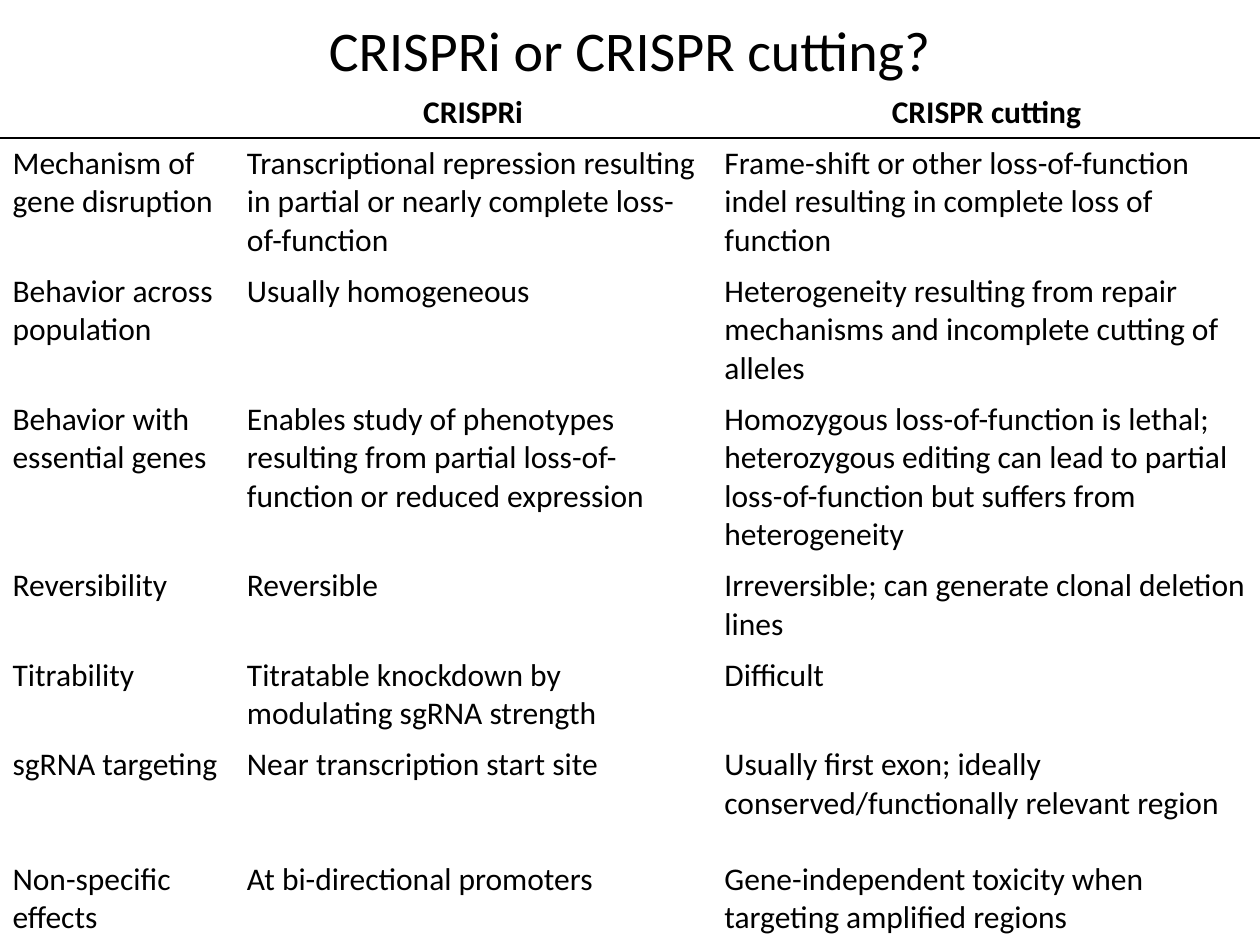
from lxml import etree
from pptx import Presentation
from pptx.dml.color import RGBColor
from pptx.enum.text import MSO_ANCHOR, PP_ALIGN
from pptx.oxml.ns import qn
from pptx.util import Inches, Pt

LEFT, CENTER = PP_ALIGN.LEFT, PP_ALIGN.CENTER
MIDDLE = MSO_ANCHOR.MIDDLE
COLORS = {"text": "000000", "rule": "000000", "border": "FFFFFF"}
TITLE_FORMAT = {"name": "Calibri", "size": Pt(32), "bold": False}
HEADER_FORMAT = {"name": "Calibri", "size": Pt(18), "bold": True}
BODY_FORMAT = {"name": "Calibri", "size": Pt(18), "bold": False}

COLUMN_WIDTHS = [1.86, 3.79, 4.36]
ROW_HEIGHTS = [0.37, 0.91, 0.91, 1.19, 0.64, 0.64, 0.91, 0.96]
ROWS = [
    ("", "CRISPRi", "CRISPR cutting"),
    ("Mechanism of gene disruption",
     "Transcriptional repression resulting in partial or nearly complete loss-of-function",
     "Frame-shift or other loss-of-function indel resulting in complete loss of function"),
    ("Behavior across population",
     "Usually homogeneous",
     "Heterogeneity resulting from repair mechanisms and incomplete cutting of alleles"),
    ("Behavior with essential genes",
     "Enables study of phenotypes resulting from partial loss-of-function or reduced expression",
     "Homozygous loss-of-function is lethal; heterozygous editing can lead to partial "
     "loss-of-function but suffers from heterogeneity"),
    ("Reversibility", "Reversible", "Irreversible; can generate clonal deletion lines"),
    ("Titrability", "Titratable knockdown by modulating sgRNA strength", "Difficult"),
    ("sgRNA targeting",
     "Near transcription start site",
     "Usually first exon; ideally conserved/functionally relevant region"),
    ("Non-specific effects",
     "At bi-directional promoters",
     "Gene-independent toxicity when targeting amplified regions"),
]


def write_text(frame, text, alignment, font_format):
    frame.text = text
    para = frame.paragraphs[0]
    para.alignment = alignment
    for attribute, value in font_format.items():
        setattr(para.font, attribute, value)
    for span in para.runs:
        for attribute, value in font_format.items():
            setattr(span.font, attribute, value)
        span.font.color.rgb = RGBColor.from_string(COLORS["text"])


def add_border(cell, side, color):
    properties = cell._tc.get_or_add_tcPr()
    line = etree.SubElement(properties, qn(f"a:ln{side}"), w=str(Pt(1)))
    fill = etree.SubElement(line, qn("a:solidFill"))
    etree.SubElement(fill, qn("a:srgbClr"), val=color)


deck = Presentation()
deck.slide_width, deck.slide_height = Inches(10), Inches(7.5)
page = deck.slides.add_slide(deck.slide_layouts[5])

# Title
title = page.shapes.title
title.left, title.top = Inches(0), Inches(0)
title.width, title.height = Inches(10), Inches(0.85)
title.text_frame.vertical_anchor = MIDDLE
write_text(title.text_frame, "CRISPRi or CRISPR cutting?", CENTER, TITLE_FORMAT)
title.text_frame.paragraphs[0].line_spacing = 0.9

# Comparison table
table = page.shapes.add_table(
    len(ROWS), len(COLUMN_WIDTHS), Inches(0), Inches(0.69),
    Inches(10), Inches(sum(ROW_HEIGHTS))).table
table.first_row = table.horz_banding = False
for column, width in zip(table.columns, COLUMN_WIDTHS):
    column.width = Inches(width)
for row, height in zip(table.rows, ROW_HEIGHTS):
    row.height = Inches(height)

# Cells, with a dark rule only between the header and the body
for row_index, texts in enumerate(ROWS):
    is_header = row_index == 0
    rule_side = {0: "B", 1: "T"}.get(row_index)
    for column_index, text in enumerate(texts):
        cell = table.cell(row_index, column_index)
        write_text(cell.text_frame, text, CENTER if is_header else LEFT,
                   HEADER_FORMAT if is_header else BODY_FORMAT)
        for side in "LRTB":
            add_border(cell, side, COLORS["rule" if side == rule_side else "border"])
        cell.fill.background()

deck.save("out.pptx")
